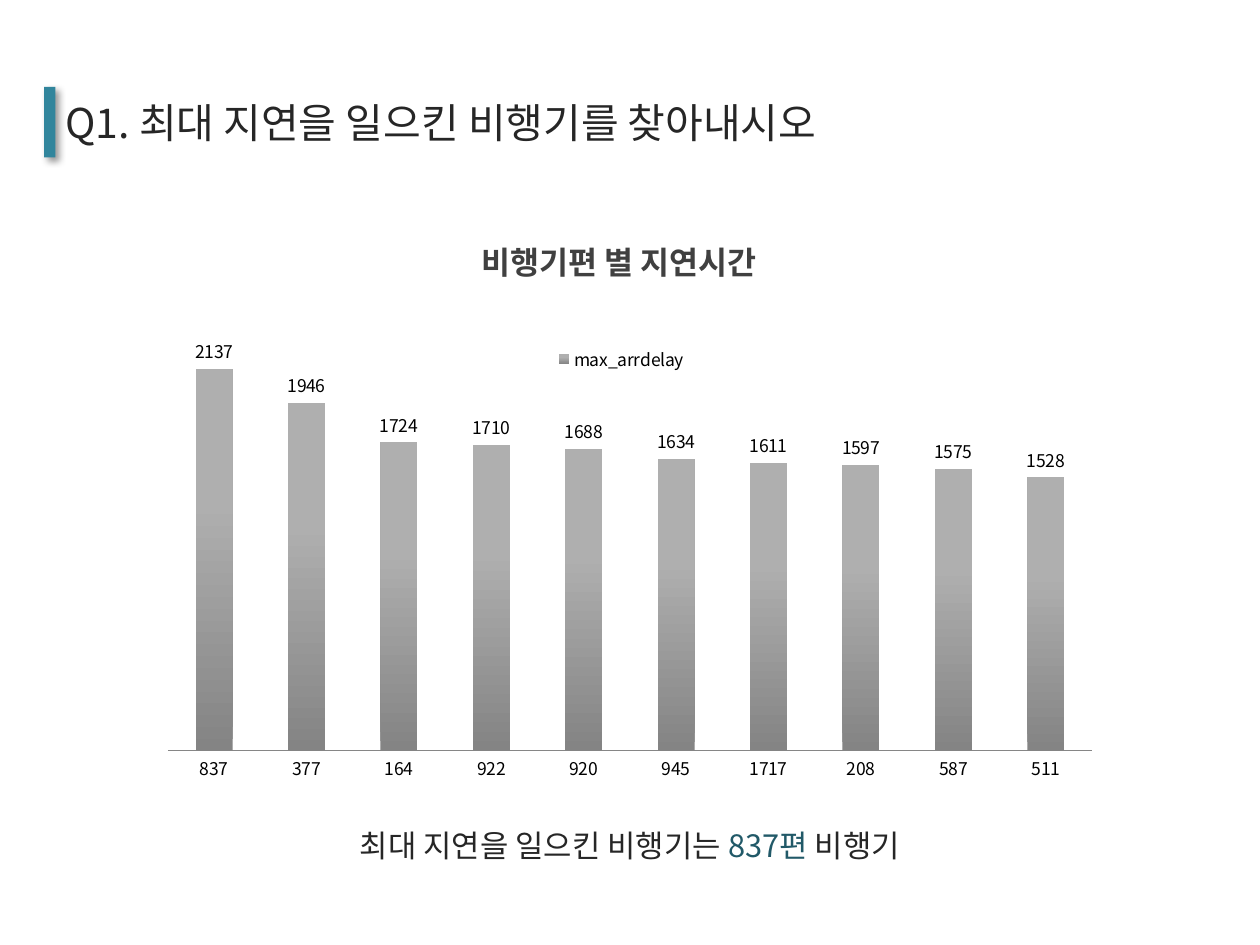
from lxml import etree
from pptx import Presentation
from pptx.chart.data import CategoryChartData
from pptx.dml.color import RGBColor
from pptx.enum import chart as ch, shapes, text
from pptx.oxml import parse_xml
from pptx.oxml.ns import nsdecls, qn
from pptx.util import Inches, Pt

# Content
FONT = "Noto Sans CJK KR"
DARK, TEAL = "262626", "215968"
QUESTION = [("Q1. 최대 지연을 일으킨 비행기를 찾아내시오", DARK)]
ANSWER = [("최대 지연을 일으킨 비행기는 ", DARK), ("837편", TEAL), (" 비행기", DARK)]
CHART_TITLE = "비행기편 별 지연시간"
SERIES = "max_arrdelay"
DELAYS = [("837", 2137), ("377", 1946), ("164", 1724), ("922", 1710), ("920", 1688),
          ("945", 1634), ("1717", 1611), ("208", 1597), ("587", 1575), ("511", 1528)]


def rgb(value):
    return RGBColor.from_string(value)


def set_font(font, size, color, bold=False):
    font.name, font.size, font.bold = FONT, Pt(size), bold
    font.color.rgb = rgb(color)
    latin = font._element.find(qn("a:latin"))
    east_asian = etree.Element(qn("a:ea"), typeface=FONT)
    latin.addnext(east_asian)


def add_line(parent, box, runs, size, align, indent=0.1):
    frame = parent.add_textbox(*map(Inches, box)).text_frame
    frame.word_wrap = True
    frame.margin_left = Inches(indent)
    frame.vertical_anchor = text.MSO_ANCHOR.MIDDLE
    paragraph = frame.paragraphs[0]
    paragraph.alignment = align
    for words, color in runs:
        run = paragraph.add_run()
        run.text = words
        set_font(run.font, size, color)


def place(element, **fractions):
    """Give a chart part a manual layout, in fractions of the chart."""
    modes = [f'<c:{axis}Mode val="edge"/>' for axis in "xy"]
    sizes = [f'<c:{key} val="{value}"/>' for key, value in fractions.items()]
    target = ['<c:layoutTarget val="inner"/>'] if "w" in fractions else []
    layout = parse_xml(f'<c:layout {nsdecls("c")}><c:manualLayout>'
                       + "".join(target + modes + sizes) + "</c:manualLayout></c:layout>")
    for old in element.findall(qn("c:layout")):
        element.remove(old)
    before = element.find(qn("c:tx"))
    if before is None:
        before = element.find(qn("c:legendPos"))
    if before is None:
        element.insert(0, layout)
    else:
        before.addnext(layout)


prs = Presentation()
prs.slide_width, prs.slide_height = Inches(10), Inches(7.5)
slide = prs.slides.add_slide(prs.slide_layouts[6])

# Answer
add_line(slide.shapes, (0.61, 6.3, 8.78, 0.82), ANSWER, 17.6, text.PP_ALIGN.CENTER)

# Delay chart
data = CategoryChartData()
data.categories = [flight for flight, _ in DELAYS]
data.add_series(SERIES, [delay for _, delay in DELAYS])
chart = slide.shapes.add_chart(ch.XL_CHART_TYPE.COLUMN_CLUSTERED, Inches(1.18), Inches(1.31),
                               Inches(7.64), Inches(5), data).chart
set_font(chart.font, 10, "000000")

chart.has_title = True
chart.chart_title.text_frame.text = CHART_TITLE
set_font(chart.chart_title.text_frame.paragraphs[0].runs[0].font, 18, "404040", True)
place(chart.chart_title._element, x=0.34, y=0.1)

chart.has_legend = True
chart.legend.position = ch.XL_LEGEND_POSITION.TOP
chart.legend.include_in_layout = False
place(chart.legend._element, x=0.42, y=0.28)

chart.value_axis.minimum_scale, chart.value_axis.maximum_scale = 0, 2500
chart.value_axis.has_major_gridlines = False
chart.value_axis.visible = False
flights = chart.category_axis
flights.major_tick_mark = ch.XL_TICK_MARK.NONE
flights.format.line.color.rgb = rgb("868686")
flights.format.line.width = Pt(0.75)

plot = chart.plots[0]
plot.gap_width = 150
plot.vary_by_categories = False
place(chart._chartSpace.chart.plotArea, x=0.02, y=0.22, w=0.96, h=0.71)

bars = plot.series[0]
fill = bars.format.fill
fill.gradient()
fill.gradient_angle = 90
for stop, (position, color) in zip(fill.gradient_stops, [(0, "848484"), (0.65, "AFAFAF")]):
    stop.position, stop.color.rgb = position, rgb(color)
labels = bars.data_labels
labels.show_value = True
labels.position = ch.XL_LABEL_POSITION.OUTSIDE_END
set_font(labels.font, 10, "000000")

# Question with its marker
heading = slide.shapes.add_group_shape().shapes
add_line(heading, (0, 0.56, 10, 0.82), QUESTION, 23.4, text.PP_ALIGN.LEFT, indent=0.52)
marker = heading.add_shape(shapes.MSO_SHAPE.RECTANGLE, *map(Inches, (0.35, 0.69, 0.09, 0.56)))
marker.fill.solid()
marker.fill.fore_color.rgb = rgb("31859C")
marker.line.fill.background()
marker._element.spPr.append(parse_xml(
    f'<a:effectLst {nsdecls("a")}><a:outerShdw blurRad="{Pt(4)}" dist="{Pt(3)}" dir="{45 * 60000}"'
    ' algn="tl" rotWithShape="0"><a:srgbClr val="000000"><a:alpha val="40000"/></a:srgbClr>'
    '</a:outerShdw></a:effectLst>'))

prs.save("out.pptx")
